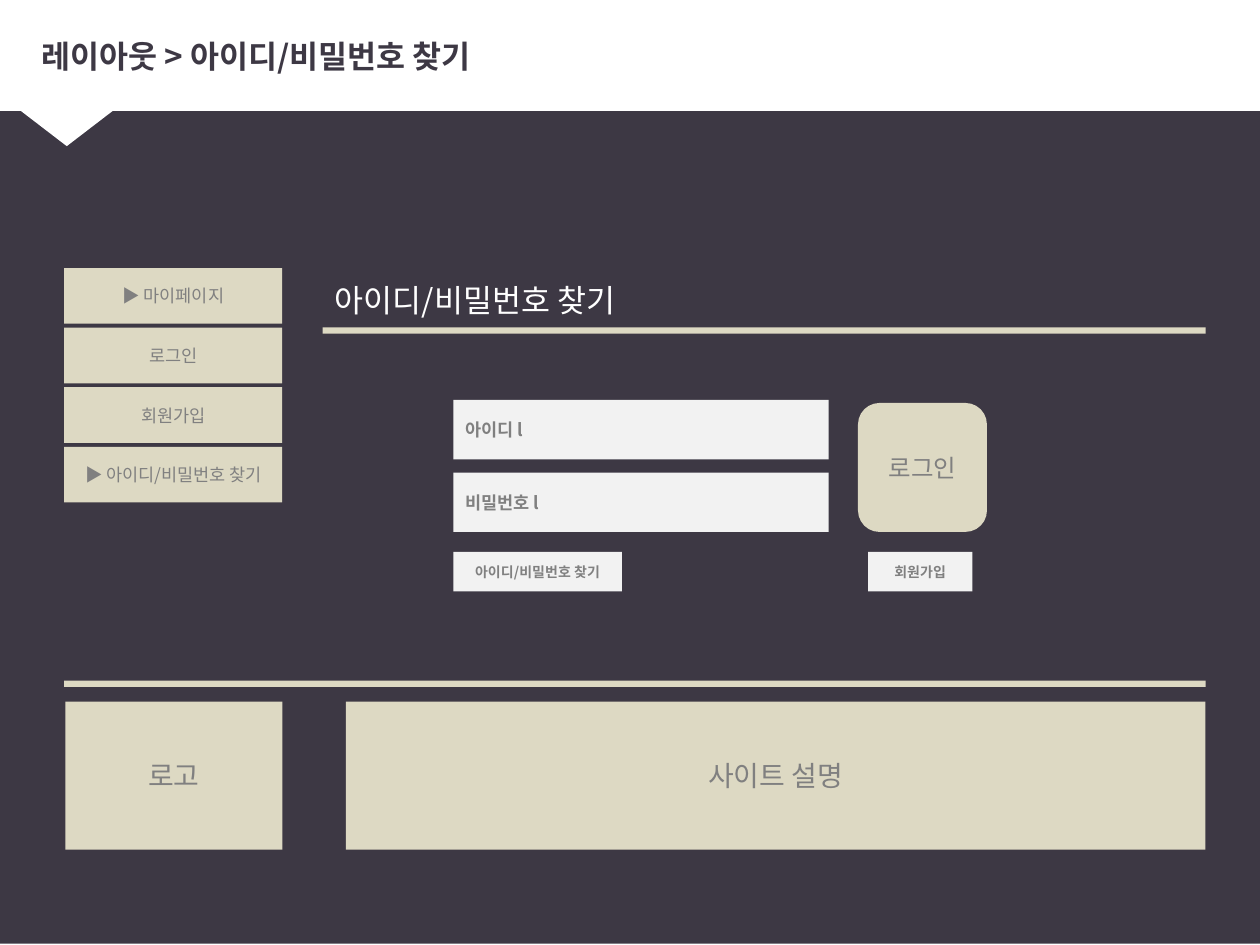
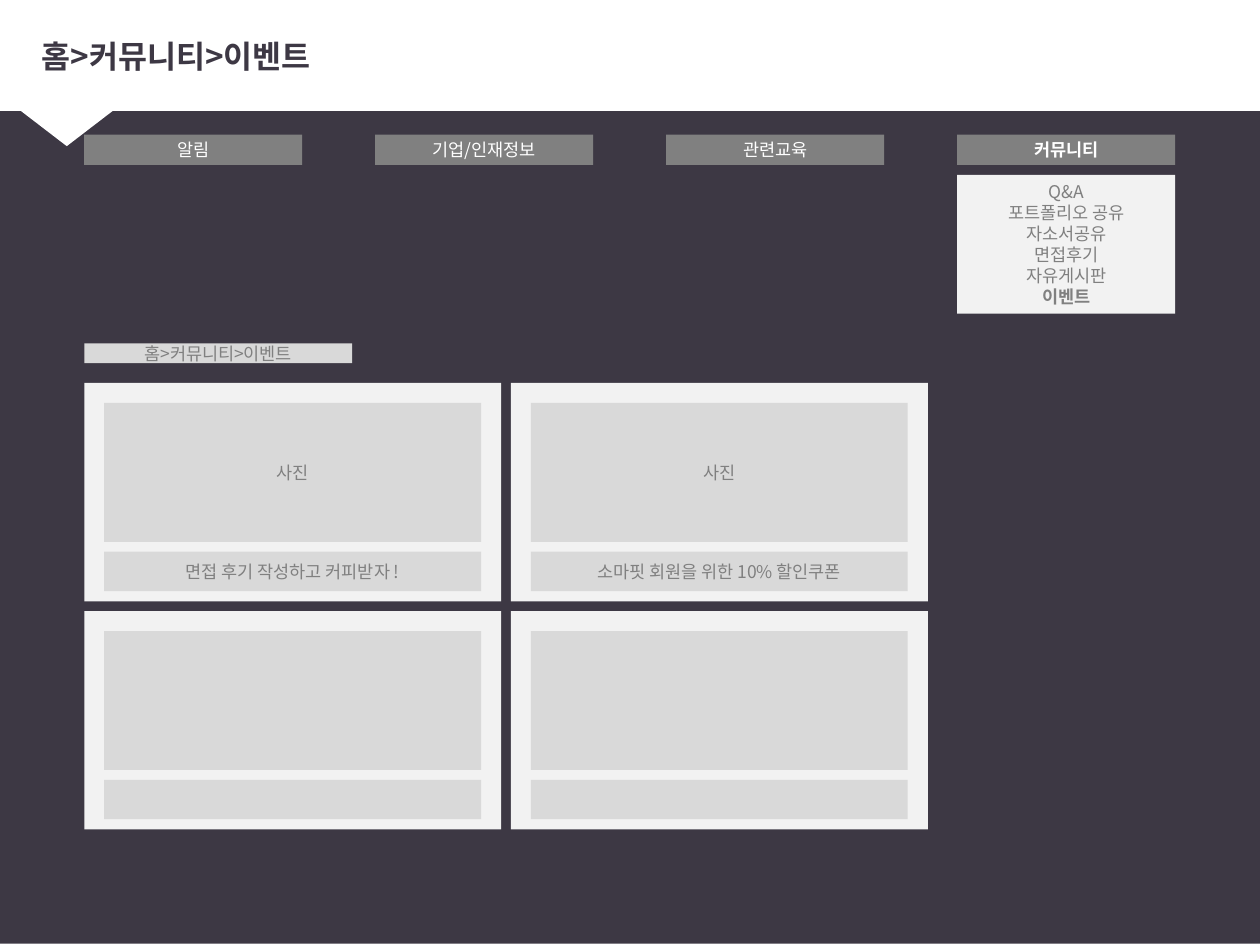
from dataclasses import dataclass

from lxml import etree
from pptx import Presentation
from pptx import util as u
from pptx.dml.color import RGBColor
from pptx.enum import shapes, text
from pptx.oxml import ns


@dataclass(frozen=True)
class Theme:
    font: str = "Noto Sans CJK KR"
    dark: str = "3D3844"
    white: str = "FFFFFF"
    beige: str = "DDD9C3"
    pale: str = "F2F2F2"
    silver: str = "D9D9D9"
    gray: str = "808080"
    title: int = 18
    block: int = 16
    button: int = 14
    label: int = 10
    small: int = 8


THEME = Theme()
RECT = shapes.MSO_SHAPE.RECTANGLE
LEFT, CENTER = text.PP_ALIGN.LEFT, text.PP_ALIGN.CENTER


def points(*lengths):
    return [u.Pt(length) for length in lengths]


def format_para(para, size, color, bold=False, align=CENTER):
    para.alignment = align
    for span in para.runs:
        font = span.font
        font.name, font.size, font.bold = THEME.font, u.Pt(size), bold
        font.color.rgb = RGBColor.from_string(color)
        east_asian = etree.SubElement(span._r.get_or_add_rPr(), ns.qn("a:ea"))
        east_asian.set("typeface", THEME.font)


def add_box(page, area, fill, words="", size=THEME.label, color=THEME.gray,
            bold=False, align=CENTER, kind=RECT):
    """Draw a borderless shape; area is left, top, width, height in points."""
    box = page.shapes.add_shape(kind, *points(*area))
    box.shadow.inherit = False
    box.fill.solid()
    box.fill.fore_color.rgb = RGBColor.from_string(fill)
    box.line.fill.background()
    if words:
        frame = box.text_frame
        frame.word_wrap = True
        frame.vertical_anchor = text.MSO_ANCHOR.MIDDLE
        frame.text = words
        for para in frame.paragraphs:
            format_para(para, size, color, bold, align)
    return box


def add_heading(page, area, words):
    box = page.shapes.add_textbox(*points(*area))
    frame = box.text_frame
    frame.word_wrap = True
    frame.auto_size = text.MSO_AUTO_SIZE.SHAPE_TO_FIT_TEXT
    frame.text = words
    format_para(frame.paragraphs[0], THEME.title, THEME.white, align=LEFT)


def add_page(deck, layout, title):
    page = deck.slides.add_slide(layout)
    frame = page.shapes.title.text_frame
    frame.text = title
    frame.vertical_anchor = text.MSO_ANCHOR.MIDDLE
    format_para(frame.paragraphs[0], THEME.title, THEME.dark, True, LEFT)
    return page


def dress_layout(layout, page):
    """Draw the backdrop on a page, then move it to the layout all pages share."""
    backdrop = add_box(page, (0, -0.7, 730, 540), THEME.dark)
    band = add_box(page, (-2.2, -1.4, 732.2, 64.8), THEME.white)
    pointer = add_box(page, (-14.4, 43.2, 105.1, 40.3), THEME.white,
                      kind=shapes.MSO_SHAPE.ISOSCELES_TRIANGLE)
    pointer.rotation = 180
    for index, box in enumerate((backdrop, band, pointer), start=2):
        layout.shapes.element.insert(index, box.element)
    title = layout.placeholders[0]
    title.left, title.top, title.width, title.height = points(16.6, 9.4, 695.5, 44.6)


def add_side_menu(page, labels):
    for row, label in enumerate(labels):
        add_box(page, (36.7, 153.2 + 34.05 * row, 124.6, 31.8), THEME.beige, label)


def add_login_form(page):
    left = 259
    for row, label in enumerate(("아이디 l", "비밀번호 l")):
        add_box(page, (left, 228.5 + 41.5 * row, 214.5, 34), THEME.pale, label,
                bold=True, align=LEFT)
    for x, width, label in ((left, 96.4, "아이디/비밀번호 찾기"), (496, 59.6, "회원가입")):
        add_box(page, (x, 315.4, width, 22.5), THEME.pale, label, THEME.small, bold=True)
    add_box(page, (490.3, 230.3, 73.7, 73.7), THEME.beige, "로그인", THEME.button,
            kind=shapes.MSO_SHAPE.ROUNDED_RECTANGLE)


def add_site_footer(page):
    add_box(page, (36.7, 389, 652.3, 3.6), THEME.beige)
    for left, width, label in ((37.4, 124, "로고"), (197.7, 491.2, "사이트 설명")):
        add_box(page, (left, 401, width, 84.5), THEME.beige, label, THEME.block)


def add_navigation(page, labels, current, entries):
    """Draw the menu row and, under its current last item, the open submenu."""
    for column, label in enumerate(labels):
        left = 48.1 + 166.3 * column
        add_box(page, (left, 77, 124.6, 17.3), THEME.gray, label,
                color=THEME.white, bold=label == current)
    submenu = add_box(page, (left, 100, 124.6, 79.3), THEME.pale, "\n".join(entries))
    submenu.text_frame.paragraphs[-1].runs[0].font.bold = True


def add_event_cards(page, cards, columns=2):
    for index, (photo, caption) in enumerate(cards):
        row, column = divmod(index, columns)
        left, top = 48.2 + 243.8 * column, 218.8 + 130.4 * row
        add_box(page, (left, top, 238.2, 124.8), THEME.pale)
        add_box(page, (left + 11.3, top + 11.4, 215.4, 79.4), THEME.silver, photo)
        add_box(page, (left + 11.3, top + 96.5, 215.4, 22.5), THEME.silver, caption)


def build_account_page(page):
    add_side_menu(page, ("▶ 마이페이지", "로그인", "회원가입", "▶ 아이디/비밀번호 찾기"))
    add_heading(page, (184.3, 157, 203.8, 28.8), "아이디/비밀번호 찾기")
    add_box(page, (184.3, 187, 504.7, 3.6), THEME.beige)
    add_login_form(page)
    add_site_footer(page)


def build_event_page(page, trail):
    add_navigation(page, ("알림", "기업/인재정보", "관련교육", "커뮤니티"), "커뮤니티",
                   ("Q&A", "포트폴리오 공유", "자소서공유", "면접후기", "자유게시판", "이벤트"))
    add_box(page, (48.2, 196.2, 153, 11.4), THEME.silver, trail)
    add_event_cards(page, (("사진", "면접 후기 작성하고 커피받자 !"),
                           ("사진", "소마핏 회원을 위한 10% 할인쿠폰"),
                           ("", ""), ("", "")))


def main():
    deck = Presentation()
    deck.slide_width, deck.slide_height = points(720, 540)
    layout = deck.slide_layouts.get_by_name("Title Only")
    account_page = add_page(deck, layout, "레이아웃 > 아이디/비밀번호 찾기")
    dress_layout(layout, account_page)
    build_account_page(account_page)
    trail = "홈>커뮤니티>이벤트"
    build_event_page(add_page(deck, layout, trail), trail)
    deck.save("out.pptx")


if __name__ == "__main__":
    main()
